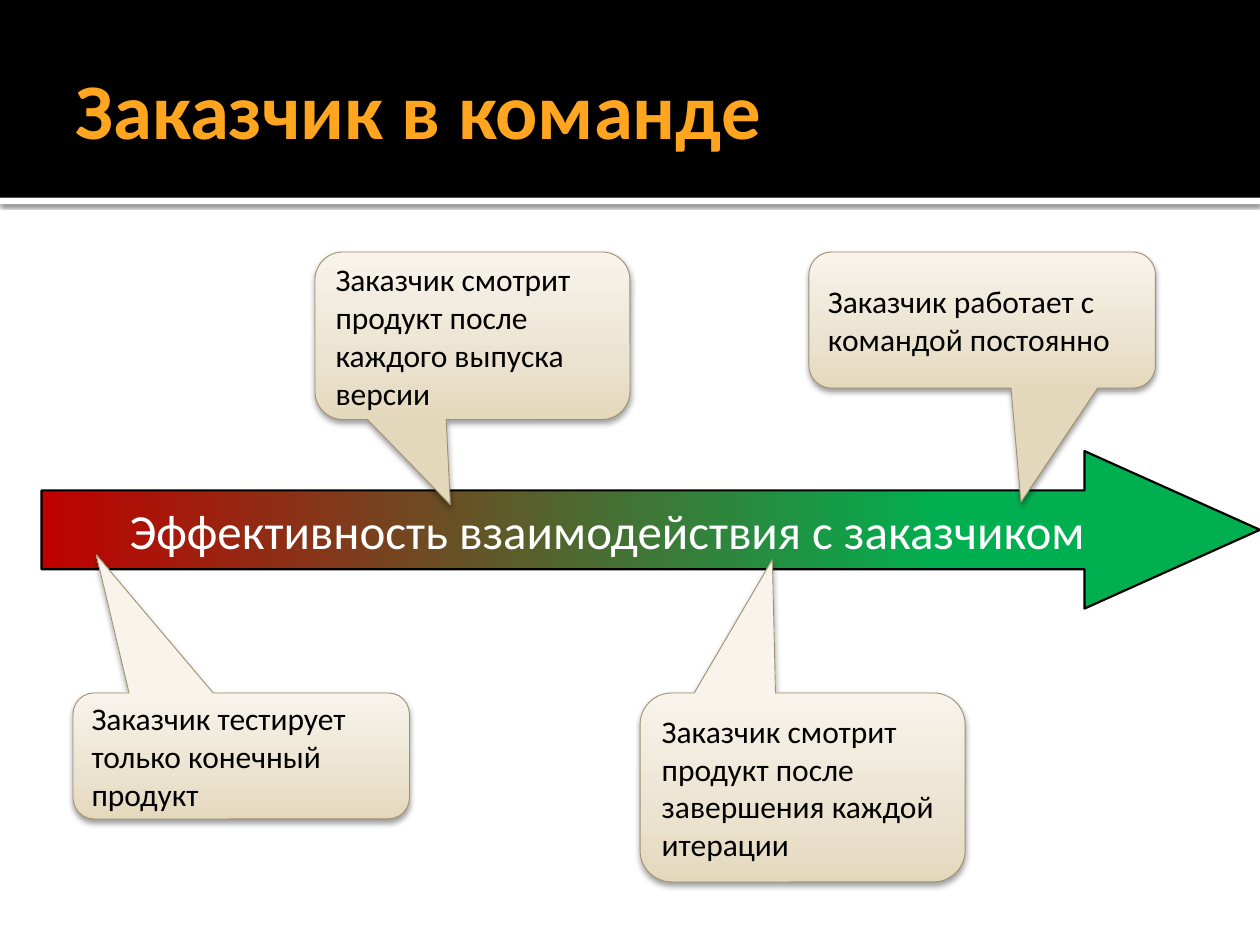
from copy import deepcopy

from lxml.etree import SubElement
from pptx import Presentation
from pptx.dml.color import RGBColor
from pptx.enum.shapes import MSO_SHAPE
from pptx.enum.text import MSO_ANCHOR, PP_ALIGN
from pptx.oxml.ns import qn
from pptx.util import Inches, Pt

BLACK = RGBColor(0x00, 0x00, 0x00)
WHITE = RGBColor(0xFF, 0xFF, 0xFF)
ORANGE = RGBColor(0xFF, 0xA5, 0x1F)
GREEN = RGBColor(0x00, 0xB0, 0x50)
RED = RGBColor(0xC0, 0x00, 0x00)
SAND = RGBColor(0xE4, 0xD8, 0xBC)
LIGHT_SAND = RGBColor(0xEB, 0xE3, 0xD0)
CREAM = RGBColor(0xF8, 0xF4, 0xEC)
KHAKI = RGBColor(0x9F, 0x92, 0x70)


def add_shape(kind, box, stops, angle=0, line=None, line_width=0, adj=(), shadow=None):
    """Stops are (position, colour); one stop is a solid fill.
    Shadow is (opacity %, blur pt, distance pt), falling straight down."""
    sp = s.shapes.add_shape(kind, *(Inches(v) for v in box))
    for i, value in enumerate(adj):
        sp.adjustments[i] = value
    if len(stops) == 1:
        sp.fill.solid()
        sp.fill.fore_color.rgb = stops[0][1]
    else:
        sp.fill.gradient()
        sp.fill.gradient_angle = angle
        gs_list = sp._element.spPr.find(".//" + qn("a:gsLst"))
        for _ in stops[2:]:
            gs_list.append(deepcopy(gs_list[0]))
        for stop, (position, color) in zip(sp.fill.gradient_stops, stops):
            stop.position = position
            stop.color.rgb = color
    if line is None:
        sp.line.fill.background()
    else:
        sp.line.color.rgb = line
        sp.line.width = Pt(line_width)
    sp.shadow.inherit = False
    if shadow:
        opacity, blur, dist = shadow
        effects = sp._element.spPr.find(qn("a:effectLst"))
        outer = SubElement(effects, qn("a:outerShdw"), blurRad=str(Pt(blur)),
                           dist=str(Pt(dist)), dir="5400000", rotWithShape="0")
        color = SubElement(outer, qn("a:srgbClr"), val=str(BLACK))
        SubElement(color, qn("a:alpha"), val=str(opacity * 1000))
    return sp


def set_text(sp, text, size, color, bold=False, align=PP_ALIGN.LEFT):
    tf = sp.text_frame
    tf.word_wrap = True
    tf.vertical_anchor = MSO_ANCHOR.MIDDLE
    p = tf.paragraphs[0]
    p.alignment = align
    r = p.add_run()
    r.text = text
    r.font.name = "Calibri"
    r.font.size = Pt(size)
    r.font.bold = bold
    r.font.color.rgb = color


prs = Presentation()
prs.slide_width = Inches(10)
prs.slide_height = Inches(7.5)
s = prs.slides.add_slide(prs.slide_layouts[6])

# Header band and title
add_shape(MSO_SHAPE.RECTANGLE, (0, 1.57, 10, 0.05), [(0, WHITE)], shadow=(60, 2.5, 0.8))
add_shape(MSO_SHAPE.RECTANGLE, (0, 0, 10, 1.57), [(0, BLACK)])
title = s.shapes.add_textbox(Inches(0.5), Inches(0.17), Inches(9), Inches(1.37))
title.text_frame.margin_right = Inches(0.05)
set_text(title, "Заказчик в команде", 45, ORANGE, bold=True)

# Effectiveness arrow
arrow = add_shape(MSO_SHAPE.RIGHT_ARROW, (0.33, 3.58, 9.67, 1.25),
                  [(0.26, GREEN), (1, RED)], angle=180,
                  line=BLACK, line_width=1.25, adj=(0.5, 1.114))
set_text(arrow, "Эффективность взаимодействия с заказчиком", 28, WHITE,
         align=PP_ALIGN.CENTER)

# Callouts: box, pointer tip, text
callouts = [
    ((0.58, 5.5, 2.67, 1), (-0.431, -1.598),
     "Заказчик тестирует только конечный продукт"),
    ((2.5, 2, 2.5, 1.33), (-0.07, 1.009),
     "Заказчик смотрит продукт после каждого выпуска версии"),
    ((5.08, 5.5, 2.58, 1.5), (-0.093, -1.206),
     "Заказчик смотрит продукт после завершения каждой итерации"),
    ((6.42, 2, 2.75, 1.08), (0.112, 1.339),
     "Заказчик работает с командой постоянно"),
]
for box, tip, text in callouts:
    callout = add_shape(MSO_SHAPE.ROUNDED_RECTANGULAR_CALLOUT, box,
                        [(0, SAND), (0.35, LIGHT_SAND), (1, CREAM)], angle=90,
                        line=KHAKI, line_width=0.5, adj=(*tip, 0.167),
                        shadow=(38, 3.5, 2))
    set_text(callout, text, 18, BLACK)

prs.save("out.pptx")
